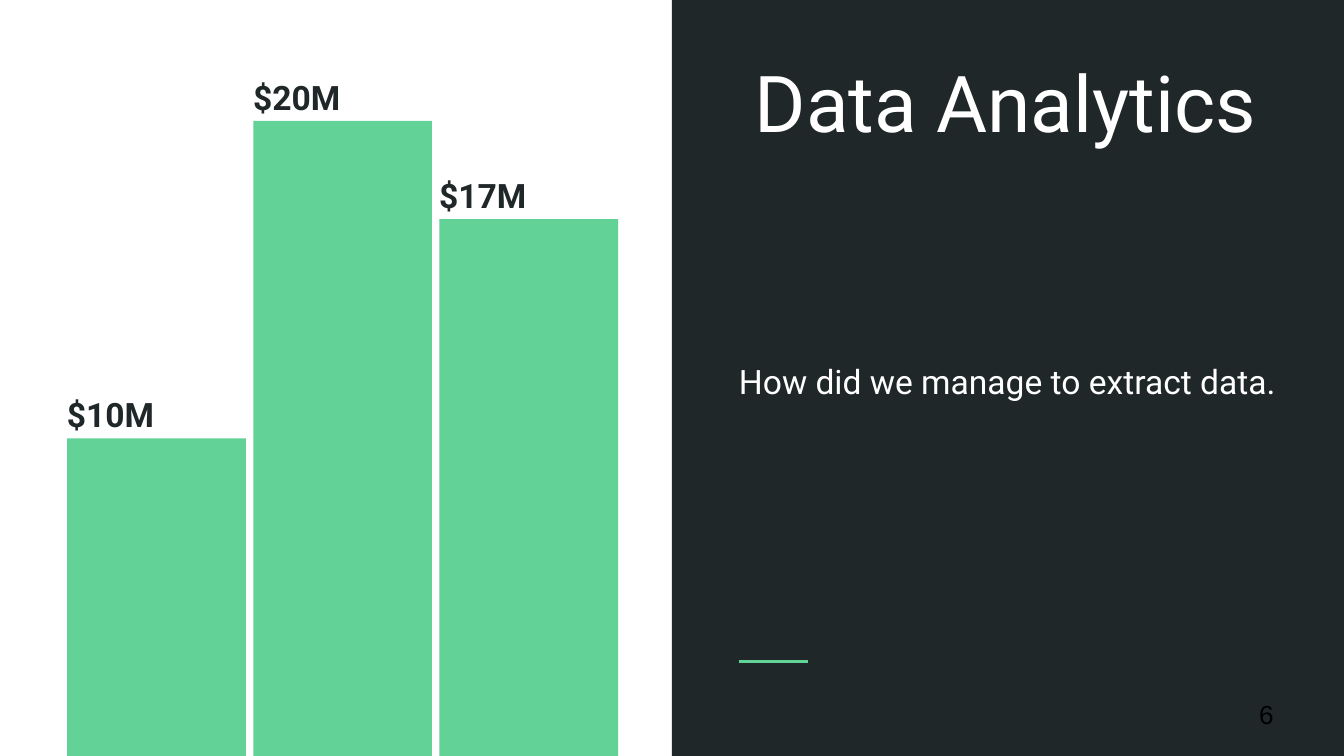
from lxml.etree import SubElement
from pptx import Presentation
from pptx.dml.color import RGBColor
from pptx.enum.shapes import MSO_CONNECTOR as Connector, MSO_SHAPE as Shape
from pptx.enum.text import MSO_ANCHOR as Anchor, PP_ALIGN as Align
from pptx.oxml.ns import qn
from pptx.util import Inches, Pt

# Content
TITLE = "Data Analytics"
BODY = "How did we manage to extract data."
PAGE_NUMBER = "6"
BARS = [("$10M", 0.42), ("$20M", 0.84), ("$17M", 0.71)]  # label, share of slide height

COLORS = {"dark": "202729", "green": "63D297", "white": "FFFFFF", "black": "000000"}

# Layout, in inches, on a 16:9 slide
WIDTH = 10
HEIGHT = WIDTH * 9 / 16
HALF = WIDTH / 2
INSET = 0.1
BARS_LEFT, BARS_RIGHT, BAR_WIDTH = 0.5, 4.6, 1.33
LABEL_WIDTH, LABEL_HEIGHT, LABEL_OVERLAP = 1.43, 0.58, 0.07
RULE_LEFT, RULE_RIGHT, RULE_TOP = 5.5, 6.01, 4.92

deck = Presentation()
deck.slide_width, deck.slide_height = Inches(WIDTH), Inches(HEIGHT)
page = deck.slides.add_slide(deck.slide_layouts[6])


def color(name):
    return RGBColor.from_string(COLORS[name])


def add_block(left, top, width, height, fill):
    block = page.shapes.add_shape(
        Shape.RECTANGLE, Inches(left), Inches(top), Inches(width), Inches(height))
    block.shadow.inherit = False
    block.fill.solid()
    block.fill.fore_color.rgb = color(fill)
    block.line.fill.background()


def add_text(text, left, top, width, height, size=18, font="Roboto", ink="white",
             bold=False, align=Align.LEFT, anchor=Anchor.MIDDLE, spacing=1, after=0):
    box = page.shapes.add_textbox(Inches(left), Inches(top), Inches(width), Inches(height))
    frame = box.text_frame
    frame.word_wrap = True
    frame.vertical_anchor = anchor
    frame.margin_left = frame.margin_right = Inches(INSET)
    frame.margin_top = frame.margin_bottom = Inches(INSET)
    para = frame.paragraphs[0]
    para.alignment = align
    para.line_spacing = spacing
    para.space_after = Pt(after)
    span = para.add_run()
    span.text = text
    span.font.size, span.font.name, span.font.bold = Pt(size), font, bold
    span.font.color.rgb = color(ink)


# Dark right half with its short rule
add_block(HALF, 0, HALF, HEIGHT, "dark")
rule = page.shapes.add_connector(
    Connector.STRAIGHT, Inches(RULE_LEFT), Inches(RULE_TOP), Inches(RULE_RIGHT), Inches(RULE_TOP))
rule.line.color.rgb = color("green")
rule.line.width = Pt(1.5)
SubElement(rule._element.spPr, qn("a:effectLst"))

# Body text and page number
add_text(BODY, 5.4, 0.79, 4.2, 4.04, spacing=1.15, after=16)
add_text(PAGE_NUMBER, 9.27, 5.1, 0.6, 0.43, size=14, font="Arial", ink="black")

# Bars standing on the slide's bottom edge, each with its label on top
pitch = (BARS_RIGHT - BARS_LEFT - BAR_WIDTH) / (len(BARS) - 1)
for column, (label, share) in enumerate(BARS):
    left = BARS_LEFT + column * pitch
    bar_height = share * HEIGHT
    top = HEIGHT - bar_height
    add_text(label, left - INSET, top + LABEL_OVERLAP - LABEL_HEIGHT, LABEL_WIDTH, LABEL_HEIGHT,
             ink="dark", bold=True, anchor=Anchor.BOTTOM)
    add_block(left, top, BAR_WIDTH, bar_height, "green")

# Title
add_text(TITLE, 5.27, 0.24, 4.42, 0.96, size=42, align=Align.CENTER, anchor=Anchor.BOTTOM)

deck.save("out.pptx")
